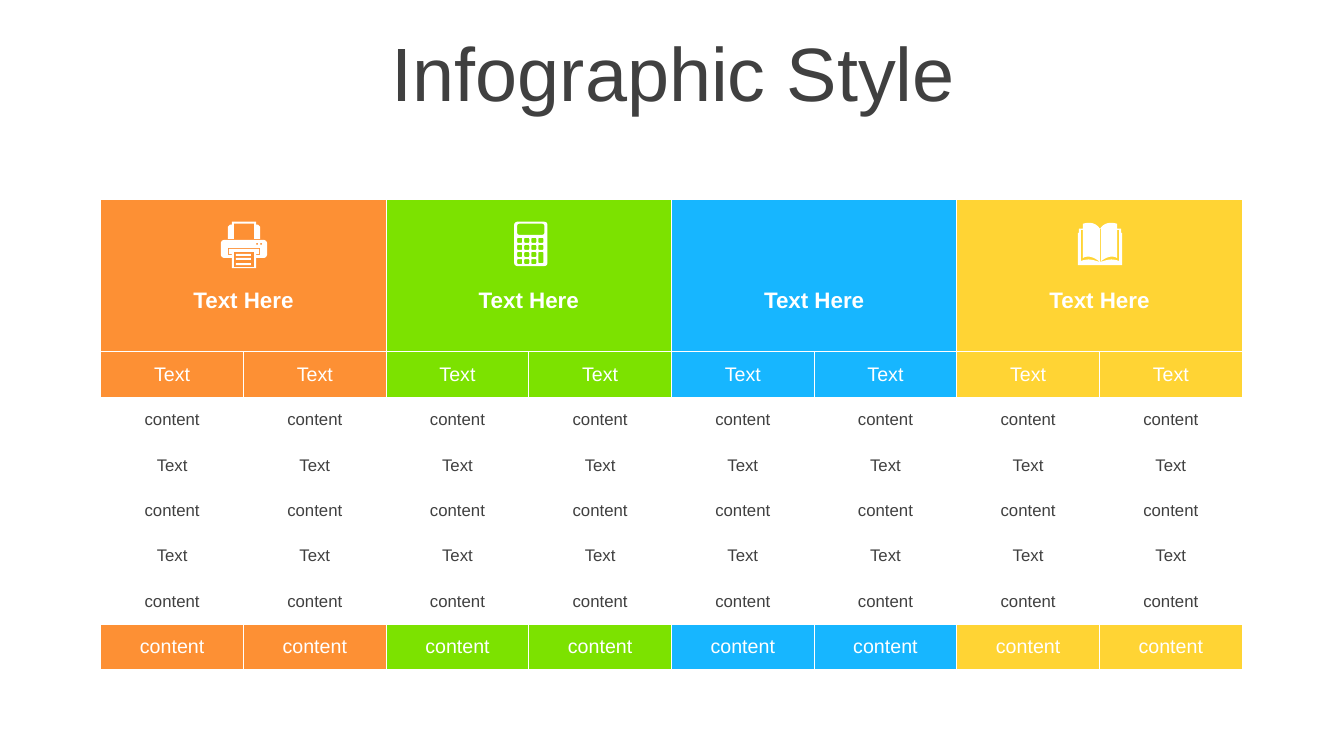
import math
from dataclasses import dataclass

import pptx
import pptx.dml.color
import pptx.enum.text
import pptx.oxml
import pptx.oxml.ns
import pptx.util

Inches = pptx.util.Inches
Pt = pptx.util.Pt


@dataclass(frozen=True)
class Theme:
    font: str = "Arial"
    dark: str = "404040"
    white: str = "FFFFFF"
    groups: tuple = ("FD9034", "7CE200", "17B6FF", "FFD434")
    title: int = 54
    header: int = 16
    band: int = 14
    body: int = 12
    rule: int = 1


def rgb(value):
    return pptx.dml.color.RGBColor.from_string(value)


def rect(x, y, w, h):
    return [(x, y), (x + w, y), (x + w, y + h), (x, y + h)]


def rounded(x, y, w, h, radius):
    corners = [(x + w - radius, y + radius, -90), (x + w - radius, y + h - radius, 0),
               (x + radius, y + h - radius, 90), (x + radius, y + radius, 180)]
    return [(cx + radius * math.cos(math.radians(start + turn)),
             cy + radius * math.sin(math.radians(start + turn)))
            for cx, cy, start in corners for turn in (0, 30, 60, 90)]


def curve(a, b, c, d, steps=8):
    points = []
    for i in range(steps + 1):
        t = i / steps
        weights = ((1 - t) ** 3, 3 * t * (1 - t) ** 2, 3 * t * t * (1 - t), t ** 3)
        points.append(tuple(sum(w * q[axis] for w, q in zip(weights, (a, b, c, d)))
                            for axis in (0, 1)))
    return points


def mirror(points, axis):
    return [(2 * axis - x, y) for x, y in reversed(points)]


def calculator():
    keys = [rounded(5.13 + 0.07 * col, 2.36 + 0.07 * row, 0.05, 0.05, 0.01)
            for row in range(4) for col in range(4) if not (col == 3 and row > 1)]
    return [rounded(5.1, 2.2, 0.33, 0.44, 0.03), rounded(5.13, 2.22, 0.27, 0.11, 0.02),
            rounded(5.34, 2.5, 0.05, 0.11, 0.01)] + keys


def printer():
    axis = 2.42
    body = [(2.3, 2.66), (2.3, 2.56), (2.22, 2.56), (2.2, 2.55), (2.19, 2.53),
            (2.19, 2.41), (2.2, 2.39), (2.22, 2.38)]
    feed = [(2.32, 2.22), (2.32, 2.37), (2.26, 2.37), (2.26, 2.25),
            (2.28, 2.23), (2.3, 2.23), (2.3, 2.2)]
    feed = feed + mirror(feed, axis)
    slot = [(2.27, 2.47), (2.27, 2.52), (2.3, 2.52), (2.3, 2.53), (2.26, 2.53), (2.26, 2.46)]
    slot = slot + mirror(slot, axis)
    lines = [rect(2.34, y, 0.15, 0.02) for y in (2.52, 2.56, 2.61)]
    lamps = [rounded(x, 2.41, 0.02, 0.02, 0.01) for x in (2.54, 2.58)]
    return [body + mirror(body, axis), feed, slot, rect(2.32, 2.5, 0.2, 0.15)] + lines + lamps


def book():
    axis = 10.91
    cover = [(10.69, 2.63), (10.69, 2.31), (10.7, 2.31), (10.7, 2.27), (10.74, 2.27)]
    cover += curve((10.74, 2.22), (10.81, 2.2), (10.87, 2.21), (axis, 2.27))
    edge = [(10.72, 2.59), (10.72, 2.28), (10.74, 2.28)]
    edge += curve((10.74, 2.56), (10.79, 2.53), (10.85, 2.55), (axis, 2.6))
    edge += curve((axis, 2.6), (10.84, 2.58), (10.8, 2.56), (10.72, 2.59))
    return [cover + mirror(cover, axis), edge, mirror(edge, axis),
            rect(axis, 2.27, 0.01, 0.33)]


class Deck:
    def __init__(self, theme):
        self.theme = theme
        self.prs = pptx.Presentation()
        self.prs.slide_width, self.prs.slide_height = Inches(13.33), Inches(7.5)
        self.s = self.prs.slides.add_slide(self.prs.slide_layouts[6])

    def label(self, tf, text, size, color, bold=False):
        p = tf.paragraphs[0]
        p.alignment = pptx.enum.text.PP_ALIGN.CENTER
        r = p.add_run()
        r.text = text
        r.font.name, r.font.size, r.font.bold = self.theme.font, Pt(size), bold
        r.font.color.rgb = rgb(color)
        return p

    def title(self, text, x, y, w, h):
        tf = self.s.shapes.add_textbox(Inches(x), Inches(y), Inches(w), Inches(h)).text_frame
        tf.word_wrap = True
        tf.vertical_anchor = pptx.enum.text.MSO_ANCHOR.MIDDLE
        self.label(tf, text, self.theme.title, self.theme.dark).line_spacing = 0.9

    def table(self, x, y, w, heights, cols):
        frame = self.s.shapes.add_table(len(heights), cols, Inches(x), Inches(y),
                                        Inches(w), Inches(sum(heights)))
        table = frame.table
        table.first_row = table.horz_banding = False
        for col in table.columns:
            col.width = Inches(w / cols)
        for row, height in zip(table.rows, heights):
            row.height = Inches(height)
        return table

    def cell(self, cell, fill):
        cell.vertical_anchor = pptx.enum.text.MSO_ANCHOR.MIDDLE
        tcPr = cell._tc.get_or_add_tcPr()
        for side in "LRTB":
            tcPr.append(pptx.oxml.parse_xml(
                f'<a:ln{side} {pptx.oxml.ns.nsdecls("a")} w="{Pt(self.theme.rule)}"><a:solidFill>'
                f'<a:srgbClr val="{self.theme.white}"/></a:solidFill></a:ln{side}>'))
        cell.fill.solid()
        cell.fill.fore_color.rgb = rgb(fill)

    def icon(self, contours):
        scaled = [[(Inches(x), Inches(y)) for x, y in points] for points in contours]
        builder = self.s.shapes.build_freeform(*scaled[0][0])
        for i, points in enumerate(scaled):
            if i:
                builder.move_to(*points[0])
            builder.add_line_segments(points[1:], close=True)
        sp = builder.convert_to_shape()
        sp.shadow.inherit = False
        sp.fill.solid()
        sp.fill.fore_color.rgb = rgb(self.theme.white)
        sp.line.fill.background()


def main():
    theme = Theme()
    deck = Deck(theme)
    deck.title("Infographic Style", 0.35, 0.37, 12.66, 0.79)

    labels = ["Text Here", "Text", "content", "Text", "content", "Text", "content", "content"]
    last = len(labels) - 1
    table = deck.table(1, 1.98, 11.32, [1.51] + [0.45] * last, 2 * len(theme.groups))
    for row, label in enumerate(labels):
        banded = row in (0, 1, last)
        size = theme.header if row == 0 else theme.band if banded else theme.body
        for col in range(len(table.columns)):
            cell = table.cell(row, col)
            deck.cell(cell, theme.groups[col // 2] if banded else theme.white)
            if row == 0 and col % 2 == 0:
                cell.merge(table.cell(row, col + 1))
                cell.margin_top = Inches(0.54)
            if not cell.is_spanned:
                deck.label(cell.text_frame, label, size,
                           theme.white if banded else theme.dark, row == 0)

    for contours in (calculator(), printer(), book()):
        deck.icon(contours)
    deck.prs.save("out.pptx")


if __name__ == "__main__":
    main()
